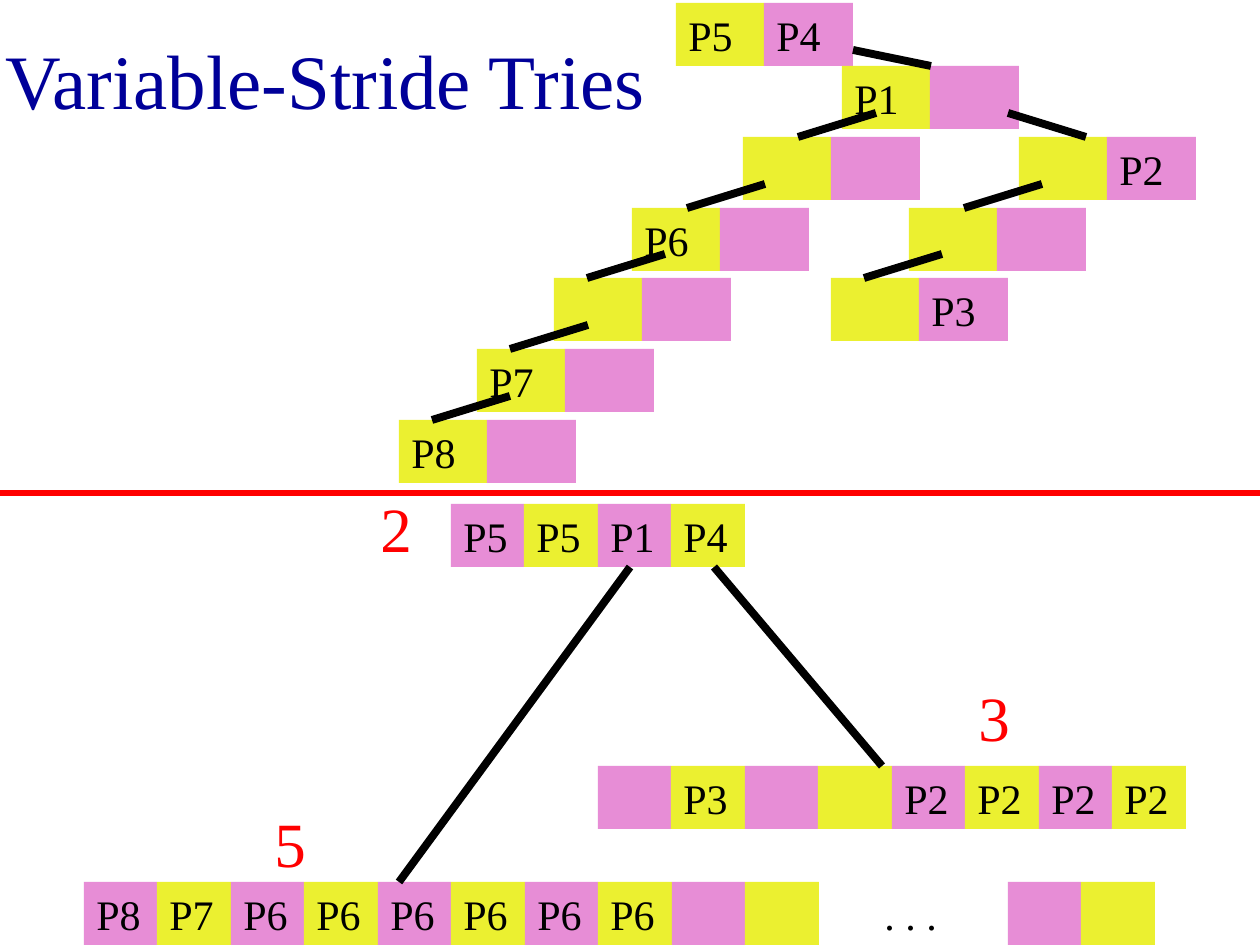
from dataclasses import dataclass

from lxml.etree import SubElement
from pptx import Presentation
from pptx.dml.color import RGBColor as RGB
from pptx.enum.shapes import MSO_CONNECTOR as CONN, MSO_SHAPE as SHAPE
from pptx.enum.text import MSO_ANCHOR as ANCHOR, MSO_AUTO_SIZE as AUTO, PP_ALIGN as ALIGN
from pptx.oxml.ns import qn
from pptx.shapes.shapetree import GroupShapes, SlideShapes
from pptx.text.text import TextFrame
from pptx.util import Emu, Pt

Shapes = SlideShapes | GroupShapes
PX_PER_INCH = 126
CELL_H = 63
NODE_W = 177


@dataclass(frozen=True)
class Theme:
    """Colours, font and point sizes."""
    font: str = "Times New Roman"
    yellow: RGB = RGB(0xEB, 0xF0, 0x30)
    pink: RGB = RGB(0xE7, 0x8D, 0xD6)
    navy: RGB = RGB(0x00, 0x00, 0x99)
    red: RGB = RGB(0xFF, 0x00, 0x00)
    black: RGB = RGB(0x00, 0x00, 0x00)
    title: float = 44
    stride: float = 36
    label: float = 24
    edge: float = 4.5
    divider: float = 3


@dataclass(frozen=True)
class Strip:
    """A row of equal cells with alternating fills."""
    left: int
    top: int
    width: int
    labels: tuple[str, ...]


@dataclass(frozen=True)
class Edge:
    """A straight line between two points."""
    x1: int
    y1: int
    x2: int
    y2: int


@dataclass(frozen=True)
class Note:
    """Free text in a box."""
    left: int
    top: int
    width: int
    height: int
    text: str
    size: float
    color: RGB


T = Theme()

NODES = [
    Strip(left, top, NODE_W, labels) for left, top, labels in (
        (676, 3, ("P5", "P4")),
        (842, 66, ("P1", "")),
        (1019, 137, ("", "P2")),
        (743, 137, ("", "")),
        (909, 208, ("", "")),
        (632, 208, ("P6", "")),
        (831, 278, ("", "P3")),
        (554, 278, ("", "")),
        (477, 349, ("P7", "")),
        (399, 420, ("P8", "")),
    )
]
RIGHT_EDGES = [Edge(853, 50, 931, 66), Edge(1008, 113, 1086, 137)]
LEFT_EDGES = [
    Edge(x, y, x - 78, y + 24) for x, y in (
        (876, 113), (765, 184), (665, 254), (588, 325), (510, 396),
        (1042, 184), (942, 254),
    )
]

TABLES = [
    Strip(451, 504, 294, ("P5", "P5", "P1", "P4")),
    Strip(84, 882, 735, ("P8", "P7") + ("P6",) * 6 + ("", "")),
    Strip(598, 766, 588, ("", "P3", "", "") + ("P2",) * 4),
    Strip(1008, 882, 147, ("", "")),
]
TABLE_EDGES = [Edge(714, 567, 882, 766), Edge(630, 567, 399, 882)]
NOTES = [
    Note(872, 882, 126, CELL_H, ". . .", T.label, T.black),
    Note(368, 483, 116, 88, "2", T.stride, T.red),
    Note(966, 672, 116, 88, "3", T.stride, T.red),
    Note(262, 798, 116, 88, "5", T.stride, T.red),
]


def px(*values: int) -> list[Emu]:
    """Turn pixels into EMU."""
    return [Emu(round(v * 914400 / PX_PER_INCH)) for v in values]


def write(tf: TextFrame, text: str, size: float, color: RGB) -> None:
    """Write one left-aligned paragraph spaced by half a line."""
    tf.word_wrap = True
    tf.auto_size = AUTO.SHAPE_TO_FIT_TEXT
    tf.vertical_anchor = ANCHOR.TOP
    tf.text = text
    p = tf.paragraphs[0]
    p.alignment = ALIGN.LEFT
    before = SubElement(p._p.get_or_add_pPr(), qn("a:spcBef"))
    SubElement(before, qn("a:spcPct")).set("val", "50000")
    font = p.runs[0].font
    font.name, font.size, font.color.rgb = T.font, Pt(size), color


def draw_strip(shapes: Shapes, strip: Strip, fills: tuple[RGB, RGB]) -> None:
    """Draw the cells of a strip."""
    n = len(strip.labels)
    bounds = [strip.left + strip.width * i // n for i in range(n + 1)]
    for i, label in enumerate(strip.labels):
        box = px(bounds[i], strip.top, bounds[i + 1] - bounds[i], CELL_H)
        sp = shapes.add_shape(SHAPE.RECTANGLE, *box)
        sp.shadow.inherit = False
        sp.fill.solid()
        sp.fill.fore_color.rgb = fills[i % 2]
        sp.line.fill.background()
        if label:
            write(sp.text_frame, label, T.label, T.black)


def draw_edge(shapes: Shapes, edge: Edge, color: RGB, width: float) -> None:
    """Draw a straight line without a shadow."""
    line = shapes.add_connector(CONN.STRAIGHT, *px(edge.x1, edge.y1, edge.x2, edge.y2))
    line.line.color.rgb = color
    line.line.width = Pt(width)
    SubElement(line._element.spPr, qn("a:effectLst"))


def draw_note(shapes: Shapes, note: Note) -> TextFrame:
    """Draw free text and return its frame."""
    tf = shapes.add_textbox(*px(note.left, note.top, note.width, note.height)).text_frame
    write(tf, note.text, note.size, note.color)
    return tf


def draw_trie(shapes: Shapes, strips: list[Strip], edges: list[Edge],
              fills: tuple[RGB, RGB]) -> None:
    """Draw the strips of a trie, then the edges over them."""
    for strip in strips:
        draw_strip(shapes, strip, fills)
    for edge in edges:
        draw_edge(shapes, edge, T.black, T.edge)


def draw_title(shapes: Shapes) -> None:
    """Draw the centred title."""
    tf = draw_note(shapes, Note(-210, 0, 1071, 157, "Variable-Stride Tries", T.title, T.navy))
    tf.auto_size = AUTO.NONE
    tf.vertical_anchor = ANCHOR.MIDDLE
    p = tf.paragraphs[0]
    p.alignment = ALIGN.CENTER
    p.space_before = Pt(0)


def main() -> None:
    """Build the slide and save it."""
    prs = Presentation()
    prs.slide_width, prs.slide_height = px(1260, 945)
    shapes = prs.slides.add_slide(prs.slide_layouts[6]).shapes
    draw_title(shapes)
    multibit = shapes.add_group_shape().shapes
    draw_trie(multibit, TABLES, TABLE_EDGES, (T.pink, T.yellow))
    for note in NOTES:
        draw_note(multibit, note)
    binary = shapes.add_group_shape().shapes
    draw_trie(binary, NODES, RIGHT_EDGES + LEFT_EDGES, (T.yellow, T.pink))
    draw_edge(shapes, Edge(0, 493, 1260, 493), T.red, T.divider)
    prs.save("out.pptx")


main()
